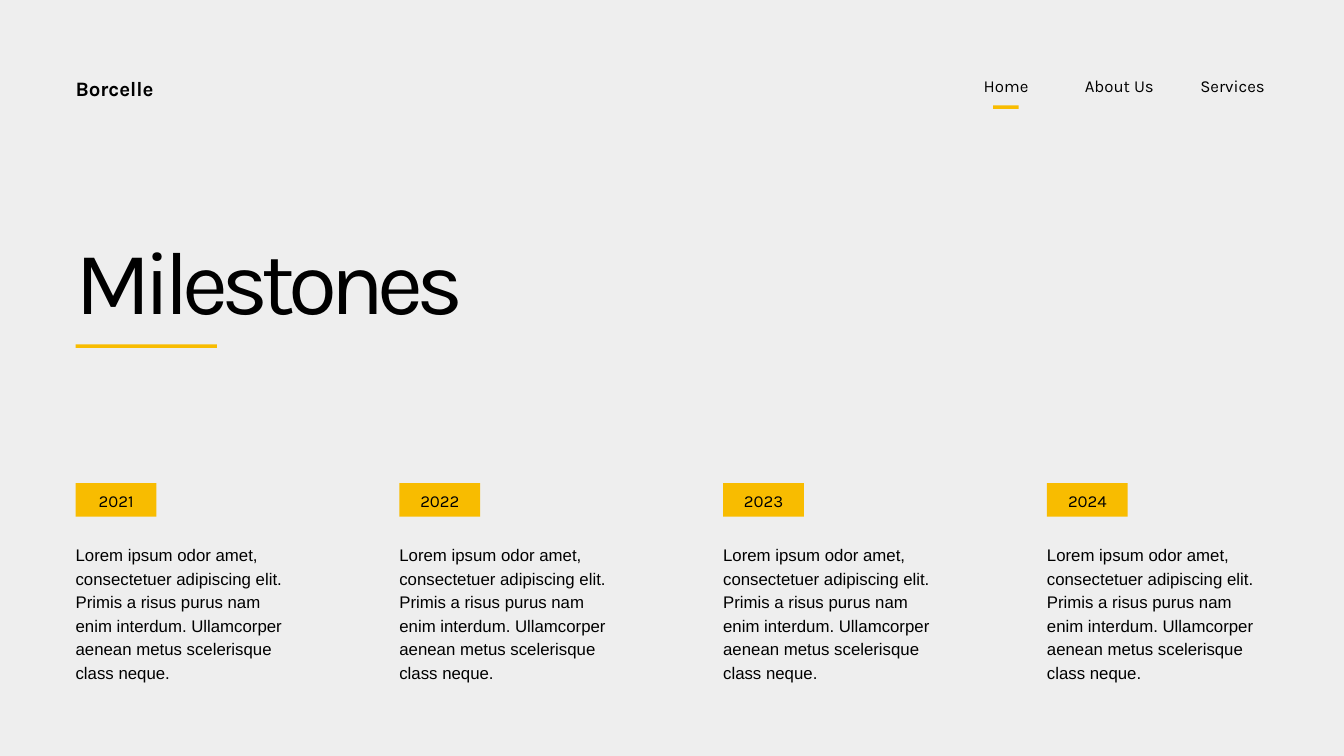
from dataclasses import dataclass
from typing import Any

from pptx import Presentation
from pptx import util as u
from pptx.dml import color as dml
from pptx.enum import shapes, text


def paint(code):
    return dml.RGBColor.from_string(code)


@dataclass
class Pen:
    slide: Any
    ink: str = "000000"
    gold: str = "F8BC00"
    face: str = "Karla"
    size: float = 18
    lead: float = 1.4

    def ground(self, code):
        fill = self.slide.background.fill
        fill.solid()
        fill.fore_color.rgb = paint(code)

    def bar(self, left, top, width, height):
        box = self.slide.shapes.add_shape(
            shapes.MSO_SHAPE.RECTANGLE,
            u.Pt(left), u.Pt(top), u.Pt(width), u.Pt(height))
        box.shadow.inherit = False
        box.fill.solid()
        box.fill.fore_color.rgb = paint(self.gold)
        box.line.fill.background()

    def label(self, words, left, top, width, height, size=None, face=None,
              bold=False, mid=False, track=0):
        size = size or self.size
        box = self.slide.shapes.add_textbox(
            u.Pt(left), u.Pt(top), u.Pt(width), u.Pt(height))
        frame = box.text_frame
        frame.margin_left = frame.margin_right = 0
        frame.margin_top = frame.margin_bottom = 0
        frame.word_wrap = True
        frame.text = words
        line = frame.paragraphs[0]
        line.line_spacing = u.Pt(size * self.lead)
        line.alignment = text.PP_ALIGN.CENTER if mid else text.PP_ALIGN.LEFT
        run = line.runs[0]
        run.font.size = u.Pt(size)
        run.font.name = face or self.face
        run.font.bold = bold
        run.font.color.rgb = paint(self.ink)
        if track:
            run.font._element.set("spc", str(round(track * 100)))


EDGE = 81
STEP = 346.9
BLURB = ("Lorem ipsum odor amet, consectetuer adipiscing elit. "
         "Primis a risus purus nam enim interdum. "
         "Ullamcorper aenean metus scelerisque class neque.")


def main():
    deck = Presentation()
    deck.slide_width, deck.slide_height = u.Pt(1440), u.Pt(810)
    pen = Pen(deck.slides.add_slide(deck.slide_layouts[6]))
    pen.ground("EEEEEE")

    pen.label("Borcelle", EDGE, 77, 141, 30, size=22, bold=True)
    for i, name in enumerate(["Home", "About Us", "Services"]):
        pen.label(name, 1039 + i * 121.3, 77.8, 78, 24.5, mid=True)
    pen.bar(1064, 113, 27.5, 3.8)

    pen.label("Milestones", EDGE, 221.8, 520, 129.6, size=96, track=-7.4)
    pen.bar(EDGE, 369, 151.5, 3.8)

    for i, year in enumerate(range(2021, 2025)):
        left = EDGE + i * STEP
        pen.bar(left, 517.7, 86.6, 36)
        pen.label(str(year), left + 11, 522, 64.8, 24.5, mid=True)
        pen.label(BLURB, left, 580.3, 237, 148.3, face="Arial")

    deck.save("out.pptx")


if __name__ == "__main__":
    main()
